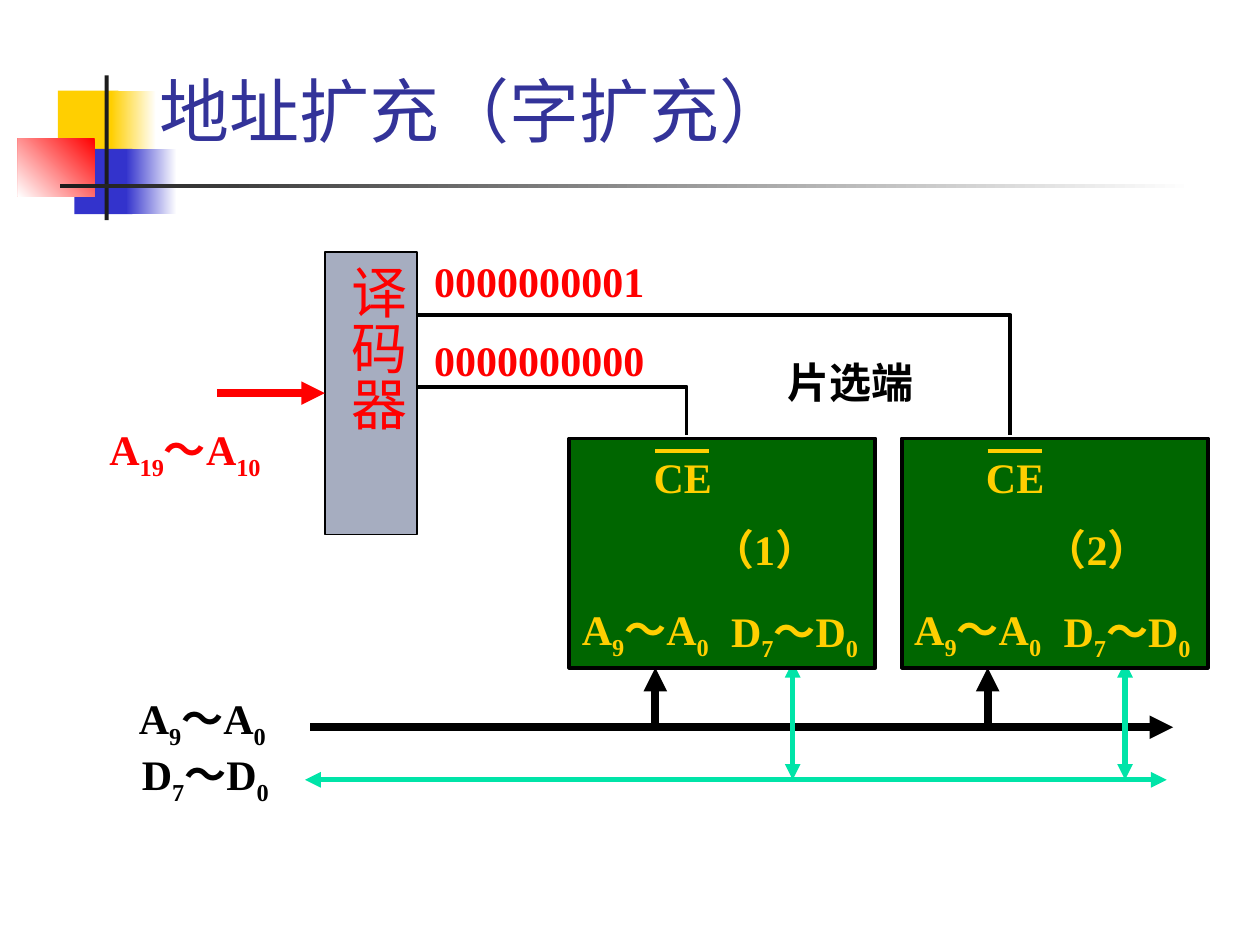
from lxml.etree import SubElement
from pptx import Presentation
from pptx.dml.color import RGBColor
from pptx.enum.shapes import MSO_CONNECTOR, MSO_SHAPE
from pptx.enum.text import MSO_ANCHOR, MSO_AUTO_SIZE, PP_ALIGN
from pptx.oxml.ns import qn
from pptx.util import Cm, Pt

BLACK, RED, GOLD, TEAL = "000000", "FF0000", "FFCF01", "00E4A8"
BLUE, WHITE, DARK = "3333CC", "FFFFFF", "1C1C1C"
SERIF, SANS = "Times New Roman", "Karla"

TITLE = "地址扩充（字扩充）"
DECODER = "译码器"
ADDRESS, DATA = "A|9|～A|0", "D|7|～D|0"
DECOR = [
    ((1.17, 1.83, 1.22, 1.32), [GOLD], 0),
    ((2.24, 1.83, 0.91, 1.32), [WHITE, GOLD], 180),
    ((1.5, 3, 1.17, 1.32), [BLUE], 0),
    ((2.54, 3, 1.02, 1.32), [WHITE, BLUE], 180),
    ((0.36, 2.79, 1.55, 1.17), [RED, WHITE], 225),
    ((2.11, 1.52, 0.08, 2.92), [DARK], 0),
    ((1.22, 3.71, 22.86, 0.08), [WHITE, DARK], 180),
]
LABELS = [
    ("片选端", (15.85, 7.16, 3.12, 1.24), BLACK, PP_ALIGN.JUSTIFY),
    (DATA, (1.55, 15.06, 5.18, 1.75), BLACK, PP_ALIGN.CENTER),
    ("A|19|～A|10", (1.14, 8.51, 5.18, 1.3), RED, PP_ALIGN.CENTER),
    (ADDRESS, (0.97, 13.94, 6.22, 1.32), BLACK, PP_ALIGN.CENTER),
    ("0000000001", (8.28, 5.13, 5.18, 1.3), RED, PP_ALIGN.CENTER),
    ("0000000000", (8.28, 6.71, 5.18, 1.3), RED, PP_ALIGN.CENTER),
]
CHIPS = [("（1）", 11.48, 13.84, 7.8), ("（2）", 18.18, 20.37, 6.35)]
CHIP_TOP, CHIP_W, CHIP_H = 8.84, 6.17, 4.62
DECODER_BOX = (6.55, 5.08, 1.86, 5.69)
ADDRESS_Y, DATA_Y = 14.66, 15.72


def color(value):
    return RGBColor.from_string(value)


def write(tf, text, size=24, font=SERIF, fill=BLACK, bold=True,
          align=PP_ALIGN.CENTER, anchor=MSO_ANCHOR.TOP, inset=(0.03, 0.03)):
    tf.word_wrap = True
    tf.auto_size = MSO_AUTO_SIZE.NONE
    tf.vertical_anchor = anchor
    tf.margin_left = tf.margin_right = Cm(inset[0])
    tf.margin_top = tf.margin_bottom = Cm(inset[1])
    p = tf.paragraphs[0]
    p.alignment = align
    for i, part in enumerate(text.split("|")):
        r = p.add_run()
        r.text = part
        r.font.size, r.font.name, r.font.bold = Pt(size), font, bold
        r.font.color.rgb = color(fill)
        if i % 2:
            r.font._element.set("baseline", "-25000")


def add_label(shapes, text, box, **fmt):
    write(shapes.add_textbox(*map(Cm, box)).text_frame, text, **fmt)


def add_rect(shapes, box, fills, angle=0, line=None, width=0):
    s = shapes.add_shape(MSO_SHAPE.RECTANGLE, *map(Cm, box))
    s.shadow.inherit = False
    if len(fills) == 1:
        s.fill.solid()
        s.fill.fore_color.rgb = color(fills[0])
    else:
        s.fill.gradient()
        s.fill.gradient_angle = angle
        for stop, value, position in zip(s.fill.gradient_stops, fills, (0, 1)):
            stop.color.rgb = color(value)
            stop.position = position
    if line:
        s.line.color.rgb = color(line)
        s.line.width = Pt(width)
    else:
        s.line.fill.background()
    return s


def add_line(shapes, start, end, fill, width, ends=()):
    c = shapes.add_connector(MSO_CONNECTOR.STRAIGHT, *map(Cm, start + end))
    c.line.color.rgb = color(fill)
    c.line.width = Pt(width)
    ln = c.line._get_or_add_ln()
    for end_name in ends:
        SubElement(ln, qn(f"a:{end_name}"), type="triangle")
    SubElement(c._element.spPr, qn("a:effectLst"))
    return c


def add_path(shapes, points):
    pts = [(Cm(x), Cm(y)) for x, y in points]
    builder = shapes.build_freeform(*pts[0])
    builder.add_line_segments(pts[1:], close=False)
    s = builder.convert_to_shape()
    s.shadow.inherit = False
    s.fill.background()
    s.line.color.rgb = color(BLACK)
    s.line.width = Pt(2.25)


def add_chip(shapes, number, left, select_x, select_y):
    bottom = CHIP_TOP + CHIP_H
    data_x, address_x = left + 4.5, left + 1.73
    add_line(shapes, (data_x, DATA_Y), (data_x, bottom - 0.12), TEAL, 3,
             ("headEnd", "tailEnd"))
    add_line(shapes, (address_x, ADDRESS_Y), (address_x, bottom), BLACK, 4.5,
             ("tailEnd",))
    add_rect(shapes, (left, CHIP_TOP, CHIP_W, CHIP_H), ["006600"],
             line=BLACK, width=2.25)
    add_label(shapes, number, (left + 2.41, 10.52, 3.05, 1.17), fill=GOLD)
    add_label(shapes, ADDRESS, (left - 1.57, 12.14, 6.2, 1.42), fill=GOLD)
    add_label(shapes, DATA, (left + 3.23, 12.17, 3.99, 1.35), fill=GOLD,
              align=PP_ALIGN.JUSTIFY)
    add_label(shapes, "CE", (left + 0.94, 9.07, 2.69, 1.04), fill=GOLD)
    add_line(shapes, (address_x, 9.09), (address_x + 1.09, 9.09), GOLD, 2.25)
    decoder_right = DECODER_BOX[0] + DECODER_BOX[2]
    add_path(shapes, [(select_x, CHIP_TOP - 0.08), (select_x, select_y),
                      (decoder_right, select_y)])


def main():
    prs = Presentation()
    prs.slide_width, prs.slide_height = Cm(25.4), Cm(19.05)
    slide = prs.slides.add_slide(prs.slide_layouts[5])
    shapes = slide.shapes
    for box, fills, angle in DECOR:
        add_rect(shapes, box, fills, angle)

    title = shapes.title
    title.left, title.top, title.width, title.height = map(
        Cm, (2.97, 0.84, 21.64, 2.34))
    write(title.text_frame, TITLE, size=40, font=SANS, fill="333399",
          bold=False, align=PP_ALIGN.LEFT, anchor=MSO_ANCHOR.BOTTOM,
          inset=(0.25, 0.13))

    add_line(shapes, (6.15, DATA_Y), (23.52, DATA_Y), TEAL, 3,
             ("headEnd", "tailEnd"))
    add_line(shapes, (6.25, ADDRESS_Y), (23.65, ADDRESS_Y), BLACK, 4.5,
             ("tailEnd",))
    for chip in reversed(CHIPS):
        add_chip(shapes, *chip)

    decoder = add_rect(shapes, DECODER_BOX, ["A6ADC0"], line=BLACK, width=0.75)
    write(decoder.text_frame, DECODER, size=32, font=SANS, fill=RED,
          bold=False, inset=(0.13, 0.25))
    decoder.text_frame._txBody.bodyPr.set("vert", "eaVert")
    middle = DECODER_BOX[1] + DECODER_BOX[3] / 2
    arrow = add_line(shapes, (4.37, middle), (DECODER_BOX[0], middle), RED, 4.5,
                     ("tailEnd",))
    arrow.end_connect(decoder, 1)

    for text, box, fill, align in LABELS:
        add_label(shapes, text, box, fill=fill, align=align)
    prs.save("out.pptx")


if __name__ == "__main__":
    main()
